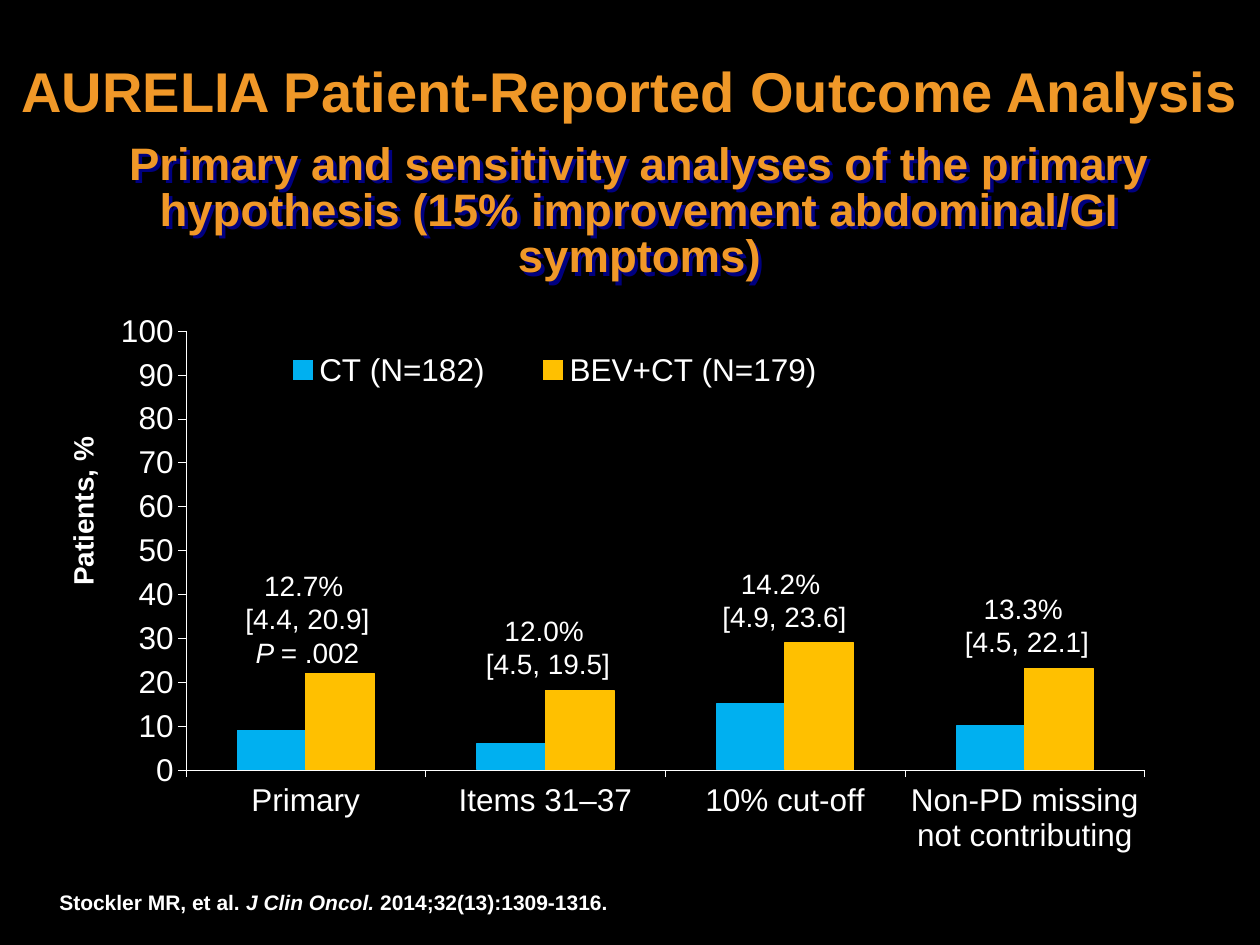
import pptx
import pptx.chart.data
import pptx.dml.color
import pptx.enum.chart
import pptx.enum.text
import pptx.oxml
import pptx.oxml.ns
import pptx.util

RGBColor = pptx.dml.color.RGBColor
BLACK = RGBColor(0x00, 0x00, 0x00)
WHITE = RGBColor(0xFF, 0xFF, 0xFF)
ORANGE = RGBColor(0xF0, 0x98, 0x28)
BLUE = RGBColor(0x00, 0xB0, 0xF0)
GOLD = RGBColor(0xFF, 0xC0, 0x00)
SHADOW = "000080"
FONT = "Arial"

CENTER = pptx.enum.text.PP_ALIGN.CENTER
LEFT = pptx.enum.text.PP_ALIGN.LEFT
TOP = pptx.enum.text.MSO_ANCHOR.TOP
MIDDLE = pptx.enum.text.MSO_ANCHOR.MIDDLE

CATEGORIES = ["Primary", "Items 31–37", "10% cut-off",
              "Non-PD missing not contributing"]
SERIES = [("CT (N=182)", [9, 6, 15, 10], BLUE),
          ("BEV+CT (N=179)", [22, 18, 29, 23], GOLD)]

# Box relative to the chart, then paragraphs as lists of (text, italic) runs
DIFFERENCES = [
    ((118, 257, 189, 115), [[("12.7% ", False)], [("[4.4, 20.9]", False)],
                            [("P ", True), ("= .002", False)]]),
    ((361, 302, 184, 81), [[("12.0% ", False)], [("[4.5, 19.5]", False)]]),
    ((600, 255, 179, 81), [[("14.2% ", False)], [("[4.9, 23.6]", False)]]),
    ((828, 280, 208, 81), [[("13.3% ", False)], [("[4.5, 22.1]", False)]]),
]


def px(n):
    return pptx.util.Emu(round(n * 914400 / 126))


def set_font(font, **values):
    for name, value in {"name": FONT, **values}.items():
        if name == "color":
            font.color.rgb = value
        else:
            setattr(font, name, value)


def add_text(s, box, paragraphs, size, color=WHITE, bold=False,
             align=CENTER, anchor=TOP, spacing=None):
    """Add a text box whose paragraphs are lists of (text, italic) runs."""
    sp = s.shapes.add_textbox(*map(px, box))
    tf = sp.text_frame
    tf.word_wrap = True
    tf.vertical_anchor = anchor
    for i, runs in enumerate(paragraphs):
        p = tf.add_paragraph() if i else tf.paragraphs[0]
        p.alignment = align
        p.line_spacing = spacing
        for text, italic in runs:
            r = p.add_run()
            r.text = text
            set_font(r.font, size=pptx.util.Pt(size), bold=bold,
                     italic=italic, color=color)
    return sp


def add_text_shadow(sp):
    """Give an unfilled box a shadow, which falls from its text."""
    sp._element.spPr.append(pptx.oxml.parse_xml(
        f'<a:effectLst {pptx.oxml.ns.nsdecls("a")}>'
        '<a:outerShdw dist="35921" dir="2700000" algn="ctr" rotWithShape="0">'
        f'<a:srgbClr val="{SHADOW}"/></a:outerShdw></a:effectLst>'))


def manual_layout(x, y, w, h, inner=False):
    target = '<c:layoutTarget val="inner"/>' if inner else ""
    return pptx.oxml.parse_xml(
        f'<c:layout {pptx.oxml.ns.nsdecls("c")}><c:manualLayout>{target}'
        '<c:xMode val="edge"/><c:yMode val="edge"/>'
        f'<c:x val="{x}"/><c:y val="{y}"/><c:w val="{w}"/><c:h val="{h}"/>'
        '</c:manualLayout></c:layout>')


def drop_layout(element):
    for old in element.findall(pptx.oxml.ns.qn("c:layout")):
        element.remove(old)


def style_axis(axis):
    axis.has_major_gridlines = False
    axis.major_tick_mark = pptx.enum.chart.XL_TICK_MARK.OUTSIDE
    axis.minor_tick_mark = pptx.enum.chart.XL_TICK_MARK.NONE
    axis.format.line.color.rgb = WHITE
    axis.format.line.width = pptx.util.Pt(0.25)


def add_legend(chart):
    chart.has_legend = True
    legend = chart.legend
    legend.position = pptx.enum.chart.XL_LEGEND_POSITION.RIGHT
    legend.include_in_layout = False
    element = legend._element
    drop_layout(element)
    element.find(pptx.oxml.ns.qn("c:overlay")).addprevious(
        manual_layout(0.14, 0.07, 0.58, 0.09))


def add_column_chart(s, box):
    data = pptx.chart.data.CategoryChartData()
    data.categories = CATEGORIES
    for name, values, _ in SERIES:
        data.add_series(name, values)
    chart = s.shapes.add_chart(
        pptx.enum.chart.XL_CHART_TYPE.COLUMN_CLUSTERED, *map(px, box), data).chart
    chart.has_title = False
    set_font(chart.font, size=pptx.util.Pt(18), color=WHITE)

    plot = chart.plots[0]
    for name, value in {"gap_width": 150, "overlap": 0,
                        "vary_by_categories": False}.items():
        setattr(plot, name, value)
    for series, (_, _, color) in zip(plot.series, SERIES):
        series.format.fill.solid()
        series.format.fill.fore_color.rgb = color
        series.format.line.color.rgb = color
        series.format.line.width = pptx.util.Pt(0.75)

    style_axis(chart.category_axis)
    style_axis(chart.value_axis)
    for name, value in {"minimum_scale": 0, "maximum_scale": 100,
                        "major_unit": 10}.items():
        setattr(chart.value_axis, name, value)

    area = chart._chartSpace.chart.plotArea
    drop_layout(area)
    area.insert(0, manual_layout(0.085, 0.046, 0.896, 0.774, inner=True))
    add_legend(chart)


def add_chart_region(s, box):
    """Place the chart with its axis caption and difference labels."""
    left, top, _, _ = box
    add_column_chart(s, box)
    caption = add_text(s, (left - 330, top + 183, 636, 47),
                       [[("Patients, %", False)]], 16, bold=True)
    caption.rotation = 270
    for (x, y, w, h), paragraphs in DIFFERENCES:
        add_text(s, (left + x, top + y, w, h), paragraphs, 16)


def add_heading(s, box):
    left, top, width, _ = box
    add_text(s, (left, top, width, 93),
             [[("AURELIA Patient-Reported Outcome Analysis", False)]],
             32, color=ORANGE, bold=True)
    subtitle = add_text(
        s, (left + 104, top + 117, 1071, 91),
        [[("Primary and sensitivity analyses of the primary hypothesis "
           "(15% improvement abdominal/GI symptoms)", False)]],
        26, color=ORANGE, bold=True, anchor=MIDDLE, spacing=0.85)
    add_text_shadow(subtitle)


def add_citation(s, box):
    add_text(s, box, [[("Stockler MR, et al. ", False), ("J Clin Oncol.", True),
                       (" 2014;32(13):1309-1316.", False)]],
             12, bold=True, align=LEFT, anchor=MIDDLE)


def main():
    prs = pptx.Presentation()
    prs.slide_width, prs.slide_height = px(1260), px(945)
    s = prs.slides.add_slide(prs.slide_layouts[6])
    s.background.fill.solid()
    s.background.fill.fore_color.rgb = BLACK
    add_heading(s, (0, 50, 1260, 208))
    add_chart_region(s, (95, 305, 1070, 567))
    add_citation(s, (47, 873, 1134, 58))
    prs.save("out.pptx")


if __name__ == "__main__":
    main()
